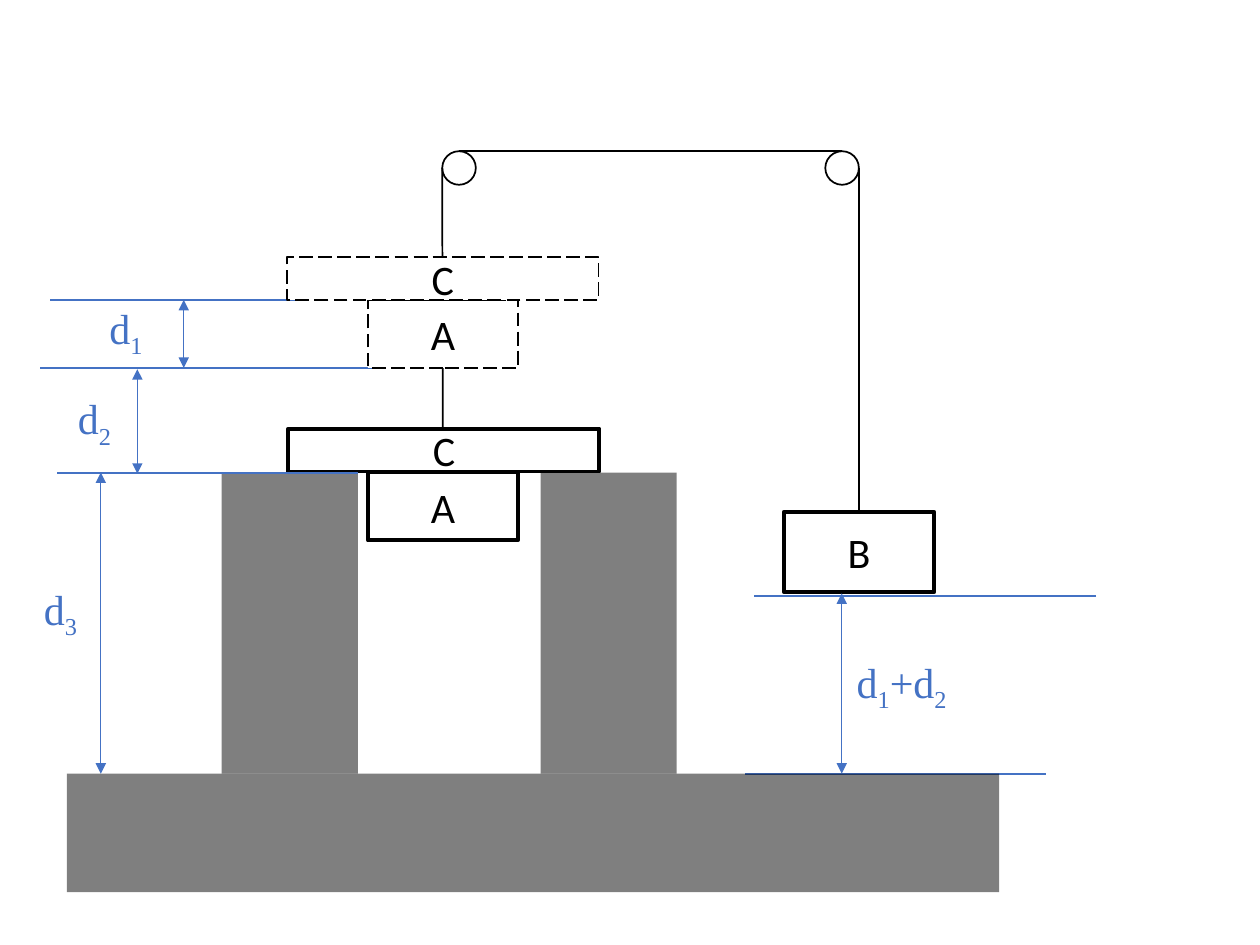
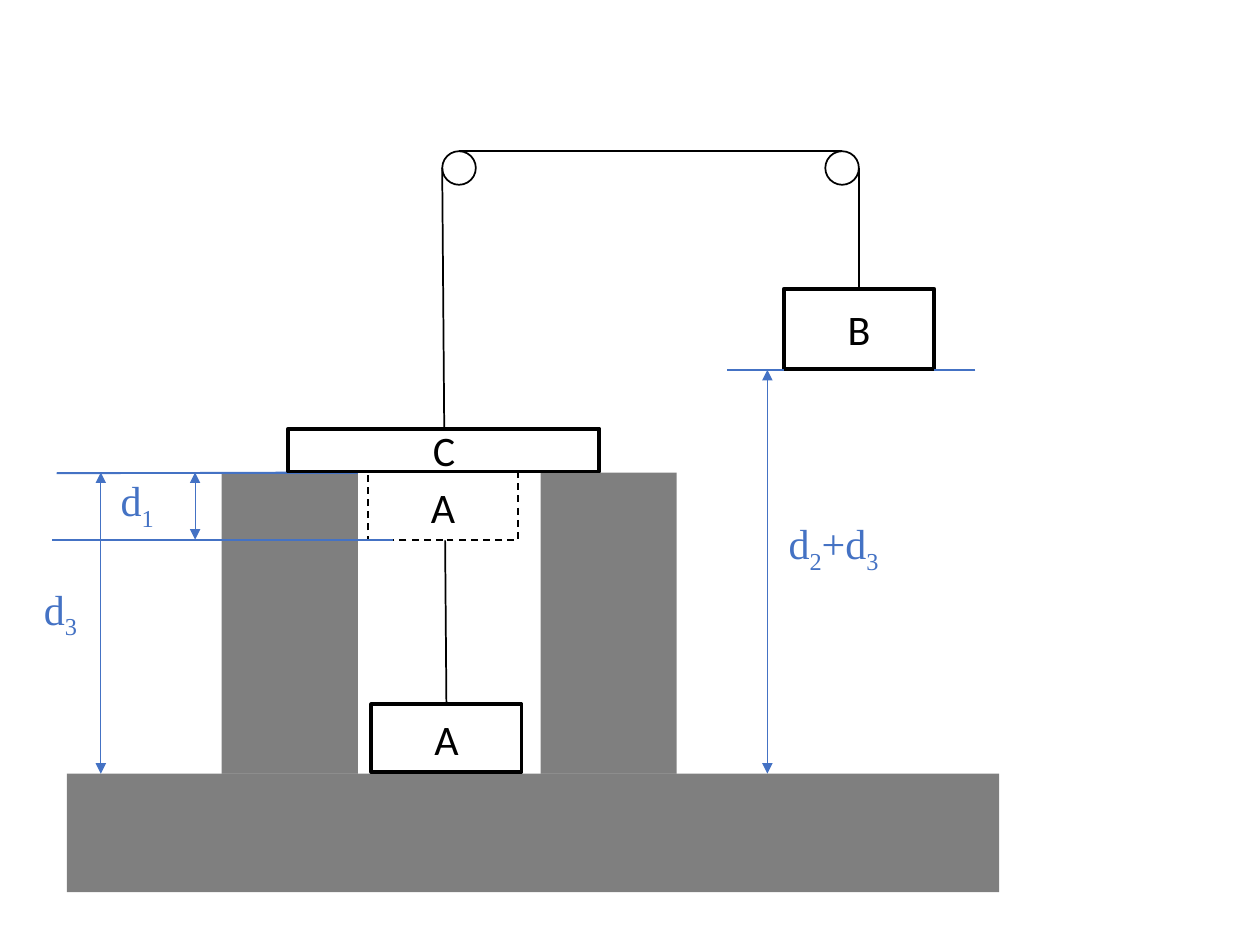
from lxml import etree
from pptx import Presentation
from pptx.dml.color import RGBColor
from pptx.enum import dml, shapes, text
from pptx.oxml.ns import qn
from pptx.util import Pt

BLACK = RGBColor(0, 0, 0)
WHITE = RGBColor(255, 255, 255)
BLUE = RGBColor(0x44, 0x72, 0xC4)
BLOCK_FONT, LABEL_FONT = "Calibri", "Times New Roman"

BLOCK_W, A_H, B_H = 85.8, 38.8, 46
C_W, C_H = 177.8, 24.5
A_X, B_X, C_X = 210.2, 448, 164.8
PULLEY_D, PULLEY_TOP = 19.2, 86.4
PULLEY_LEFT, PULLEY_RIGHT = 252.7, 471.6
PILLAR_W, PILLAR_TOP, FLOOR = 77.8, 270, 442.1
C_TOP = PILLAR_TOP - C_H - 0.5


def add_plain(s, kind, x, y, w, h):
    """Add a preset shape without a shadow."""
    sp = s.shapes.add_shape(kind, Pt(x), Pt(y), Pt(w), Pt(h))
    sp.shadow.inherit = False
    sp.fill.solid()
    return sp


def add_outlined(s, kind, x, y, w, h, weight, dash=None):
    """Add a white shape with a black outline."""
    sp = add_plain(s, kind, x, y, w, h)
    sp.fill.fore_color.rgb = WHITE
    sp.line.color.rgb = BLACK
    sp.line.width = Pt(weight)
    if dash:
        sp.line.dash_style = dash
    return sp


def add_block(s, name, x, y, w, h, dash=None):
    """Add a lettered block, thin and dashed for a displaced position."""
    sp = add_outlined(s, shapes.MSO_SHAPE.RECTANGLE, x, y, w, h, 1 if dash else 2.25, dash)
    tf = sp.text_frame
    tf.vertical_anchor = text.MSO_ANCHOR.MIDDLE
    p = tf.paragraphs[0]
    p.text = name
    p.alignment = text.PP_ALIGN.CENTER
    p.font.size = Pt(24)
    p.font.name = BLOCK_FONT
    p.font.color.rgb = BLACK
    return sp


def add_support(s, x, y, w, h):
    """Add a half-transparent black support."""
    sp = add_plain(s, shapes.MSO_SHAPE.RECTANGLE, x, y, w, h)
    sp.fill.fore_color.rgb = BLACK
    sp.line.fill.background()
    color = sp.fill._xPr.find(qn("a:solidFill"))[0]
    etree.SubElement(color, qn("a:alpha")).set("val", "50000")


def add_line(s, x1, y1, x2, y2, color, weight=1):
    """Add a straight line without a shadow."""
    c = s.shapes.add_connector(shapes.MSO_CONNECTOR.STRAIGHT, Pt(x1), Pt(y1), Pt(x2), Pt(y2))
    c.line.color.rgb = color
    c.line.width = Pt(weight)
    etree.SubElement(c._element.spPr, qn("a:effectLst"))
    return c


def add_level(s, x1, x2, y):
    """Add a blue horizontal reference line."""
    add_line(s, x1, y, x2, y, BLUE)


def add_distance(s, x, top, bottom):
    """Add a vertical double-headed dimension arrow."""
    ln = add_line(s, x, top, x, bottom, BLUE, 0.5).line._get_or_add_ln()
    for end in ("a:headEnd", "a:tailEnd"):
        etree.SubElement(ln, qn(end)).set("type", "triangle")


def add_label(s, x, y, *indices, w=78.5):
    """Add a sum of distances d with the given subscripts."""
    tf = s.shapes.add_textbox(Pt(x), Pt(y), Pt(w), Pt(36)).text_frame
    tf.word_wrap = True
    p = tf.paragraphs[0]
    p.font.size = Pt(24)
    p.font.name = LABEL_FONT
    p.font.color.rgb = BLUE
    for i, index in enumerate(indices):
        p.add_run().text = "+d" if i else "d"
        r = p.add_run()
        r.text = index
        r.font._element.set("baseline", "-25000")


def add_pulleys(s, block_a, block_b):
    """Add both pulleys and the rope that joins the two blocks."""
    for x in (PULLEY_LEFT, PULLEY_RIGHT):
        add_outlined(s, shapes.MSO_SHAPE.OVAL, x, PULLEY_TOP, PULLEY_D, PULLEY_D, 1)
    radius = PULLEY_D / 2
    axle = PULLEY_TOP + radius
    add_line(s, PULLEY_LEFT + radius, PULLEY_TOP, PULLEY_RIGHT + radius, PULLEY_TOP, BLACK)
    for x, block in ((PULLEY_LEFT, block_a), (PULLEY_RIGHT + PULLEY_D, block_b)):
        add_line(s, x, axle, x, axle, BLACK).end_connect(block, 0)


def add_pillars(s):
    """Add the two pillars with their height d3."""
    for x in (126.7, 308.9):
        add_support(s, x, PILLAR_TOP, PILLAR_W, FLOOR - PILLAR_TOP)
    add_level(s, 204.5, 32.4, PILLAR_TOP + 0.5)
    add_distance(s, 57.6, PILLAR_TOP, FLOOR)
    add_label(s, 18, 329.8, "3")


def add_floor(s):
    """Add the base slab."""
    add_support(s, 38.2, FLOOR, 532.8, 67.7)


def build_raised(s):
    """Draw blocks A and C lifted above the pillars."""
    lifted, lifted_bottom = 171.4, 210.2
    dash = dml.MSO_LINE.LONG_DASH
    a = add_block(s, "A", A_X, PILLAR_TOP, BLOCK_W, A_H)
    b = add_block(s, "B", B_X, 292.4, BLOCK_W, B_H)
    add_pulleys(s, a, b)
    add_block(s, "C", C_X, C_TOP, C_W, C_H)
    add_pillars(s)
    add_level(s, 626.4, 430.6, 340.6)
    add_level(s, 597.6, 425.5, FLOOR)
    add_label(s, 482.4, 371.5, "1", "2")
    add_distance(s, 481, 339.1, FLOOR)
    add_floor(s)
    add_level(s, 171.4, 28.8, lifted)
    add_level(s, 218.2, 23, lifted_bottom)
    add_block(s, "A", A_X, lifted, BLOCK_W, A_H, dash)
    add_block(s, "C", C_X - 0.6, lifted - C_H, C_W, C_H, dash)
    add_distance(s, 105, lifted, lifted_bottom)
    add_label(s, 55.4, 169.2, "1", w=46)
    add_label(s, 37.4, 221, "2")
    add_distance(s, 78.5, 211, 270.7)


def build_lowered(s):
    """Draw block A resting on the floor between the pillars."""
    b_top, b_bottom, a_bottom = 165, 211.4, 308.4
    a = add_block(s, "A", 212.2, 402.4, BLOCK_W, A_H)
    b = add_block(s, "B", B_X, b_top, BLOCK_W, B_H)
    add_pulleys(s, a, b)
    add_pillars(s)
    add_level(s, 557.3, 533.8, b_bottom)
    add_level(s, 448, 415.4, b_bottom)
    add_distance(s, 438.5, b_bottom, FLOOR)
    add_label(s, 443.5, 292.3, "2", "3")
    add_floor(s)
    add_block(s, "A", A_X, PILLAR_TOP, BLOCK_W, A_H, dml.MSO_LINE.DASH)
    add_line(s, 177.8, PILLAR_TOP, 32.4, PILLAR_TOP + 0.5, BLUE)
    add_level(s, 224.6, 29.5, a_bottom)
    add_distance(s, 111.5, PILLAR_TOP, a_bottom)
    add_label(s, 61.9, 267.8, "1", w=46)
    add_block(s, "C", C_X, C_TOP, C_W, C_H)


def main():
    """Build both slides and save the deck."""
    prs = Presentation()
    prs.slide_width, prs.slide_height = Pt(720), Pt(540)
    for build in (build_raised, build_lowered):
        build(prs.slides.add_slide(prs.slide_layouts[6]))
    prs.save("out.pptx")


if __name__ == "__main__":
    main()
